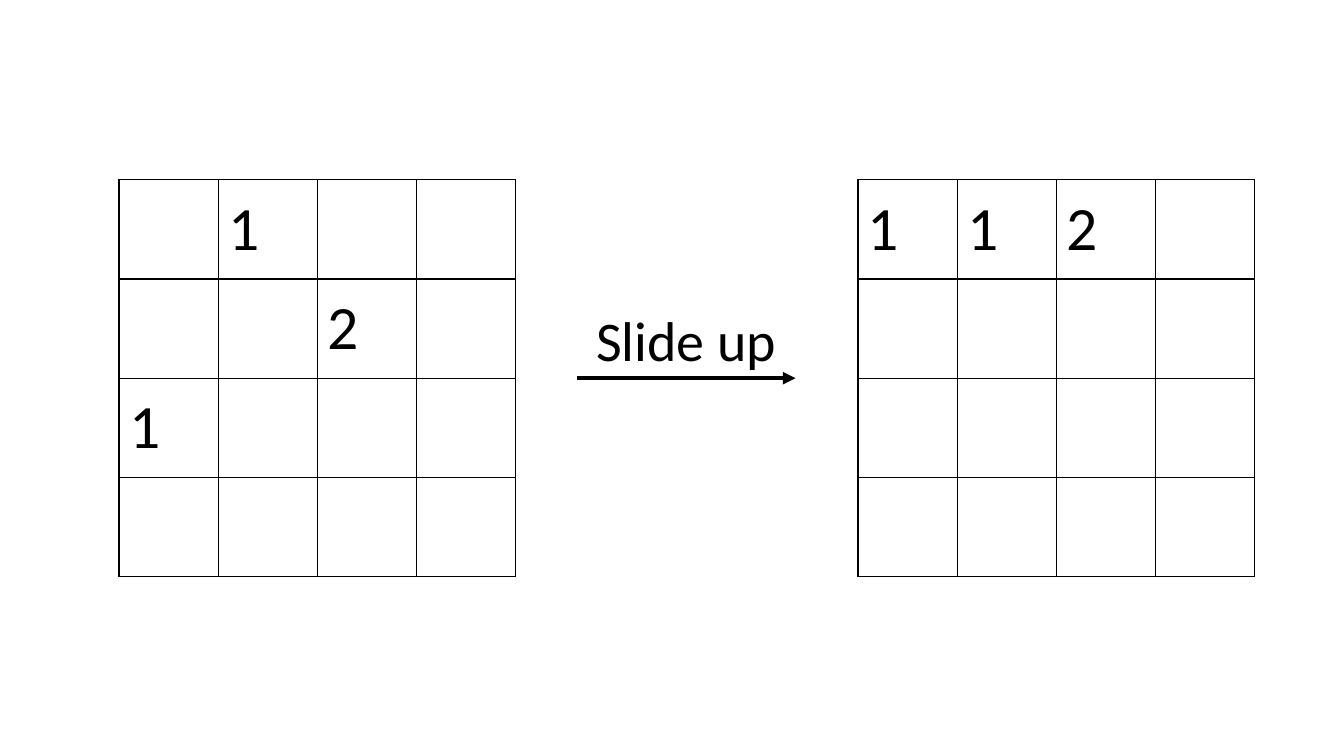
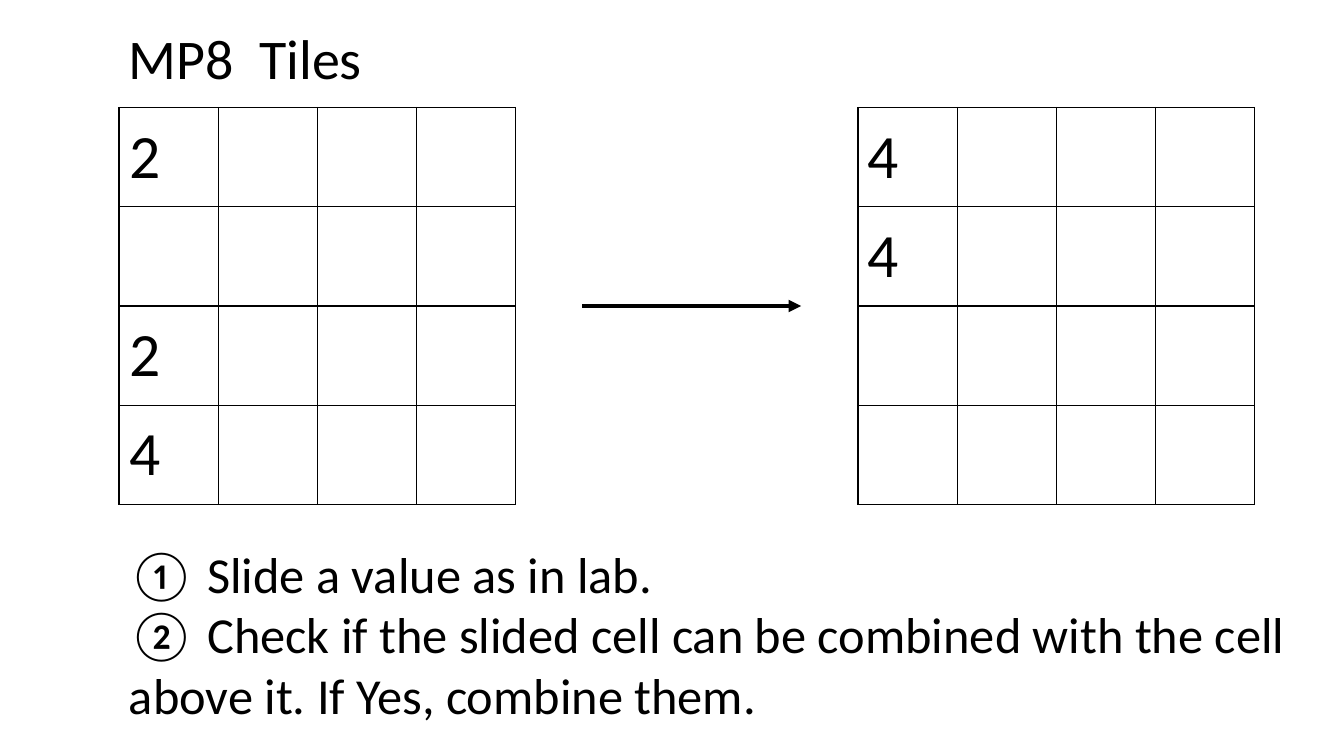
"""Build two slides that show tile moves on a four by four board."""

from dataclasses import dataclass

from lxml.etree import SubElement
from pptx import Presentation
from pptx.dml.color import RGBColor
from pptx.enum.shapes import MSO_CONNECTOR as Connector
from pptx.enum.text import MSO_ANCHOR as Anchor
from pptx.enum.text import MSO_AUTO_SIZE as AutoSize
from pptx.enum.text import PP_ALIGN as Align
from pptx.oxml.ns import qn
from pptx.util import Cm, Pt


@dataclass(frozen=True)
class Theme:
    font: str = "Calibri"
    ink: str = "000000"
    tile_size: int = 44
    title_size: int = 40
    body_size: int = 36
    grid_width: int = 1
    arrow_width: int = 3


THEME = Theme()
INK = RGBColor.from_string(THEME.ink)

BOARD_SIZE = 4
CELL = 2.5
BOARD_LEFTS = (3, 21.62)
ARROW_LENGTH = 5.52
LINE_HEIGHT = 1.96

SLIDES = [
    {
        "board_top": 4.53,
        "boards": [
            {(0, 1): "1", (1, 2): "2", (2, 0): "1"},
            {(0, 0): "1", (0, 1): "1", (0, 2): "2"},
        ],
        "arrow_left": 14.53,
        "arrow_label": "Slide up",
    },
    {
        "board_top": 2.71,
        "boards": [
            {(0, 0): "2", (2, 0): "2", (3, 0): "4"},
            {(0, 0): "4", (1, 0): "4"},
        ],
        "arrow_left": 14.67,
        "title": "MP8  Tiles",
        "steps": [
            "① Slide a value as in lab.",
            "② Check if the slided cell can be combined with the cell above it. If Yes, combine them.",
        ],
    },
]


def style_paragraph(para, size, align):
    para.alignment = align
    para.font.name = THEME.font
    para.font.size = Pt(size)
    para.font.color.rgb = INK


def add_text(page, lines, place, size, align=Align.LEFT):
    box = page.shapes.add_textbox(*(Cm(length) for length in place))
    frame = box.text_frame
    frame.word_wrap = True
    frame.auto_size = AutoSize.SHAPE_TO_FIT_TEXT
    frame.text = "\n".join(lines)
    for para in frame.paragraphs:
        style_paragraph(para, size, align)


def add_borders(cell):
    properties = cell._tc.get_or_add_tcPr()
    for side in ("a:lnL", "a:lnR", "a:lnT", "a:lnB"):
        border = SubElement(properties, qn(side), w=str(Pt(THEME.grid_width)))
        fill = SubElement(border, qn("a:solidFill"))
        SubElement(fill, qn("a:srgbClr"), val=THEME.ink)


def add_board(page, left, top, tiles):
    side = Cm(CELL * BOARD_SIZE)
    frame = page.shapes.add_table(BOARD_SIZE, BOARD_SIZE, Cm(left), Cm(top), side, side)
    table = frame.table
    table.first_row = table.horz_banding = False
    for row in range(BOARD_SIZE):
        for column in range(BOARD_SIZE):
            cell = table.cell(row, column)
            add_borders(cell)
            cell.fill.background()
            cell.vertical_anchor = Anchor.MIDDLE
            cell.text = tiles.get((row, column), "")
            style_paragraph(cell.text_frame.paragraphs[0], THEME.tile_size, Align.JUSTIFY)


def add_arrow(page, left, middle):
    arrow = page.shapes.add_connector(
        Connector.STRAIGHT, Cm(left), Cm(middle), Cm(left + ARROW_LENGTH), Cm(middle)
    )
    arrow.line.color.rgb = INK
    arrow.line.width = Pt(THEME.arrow_width)
    SubElement(arrow.line._get_or_add_ln(), qn("a:tailEnd"), type="triangle")
    SubElement(arrow._element.spPr, qn("a:effectLst"))


def add_slide(deck, content):
    page = deck.slides.add_slide(deck.slide_layouts[6])
    top, arrow_left = content["board_top"], content["arrow_left"]
    middle = top + CELL * BOARD_SIZE / 2
    for left, tiles in zip(BOARD_LEFTS, content["boards"]):
        add_board(page, left, top, tiles)
    add_arrow(page, arrow_left, middle)
    if "arrow_label" in content:
        place = (arrow_left, middle - LINE_HEIGHT, ARROW_LENGTH, LINE_HEIGHT)
        add_text(page, [content["arrow_label"]], place, THEME.title_size, Align.CENTER)
    if "title" in content:
        place = (BOARD_LEFTS[0], 0.46, 16.56, LINE_HEIGHT)
        add_text(page, [content["title"]], place, THEME.title_size)
    if "steps" in content:
        place = (BOARD_LEFTS[0], 13.56, 29.74, 4.88)
        add_text(page, content["steps"], place, THEME.body_size)


def main():
    deck = Presentation()
    deck.slide_width, deck.slide_height = Cm(33.87), Cm(19.05)
    for content in SLIDES:
        add_slide(deck, content)
    deck.save("out.pptx")


if __name__ == "__main__":
    main()
